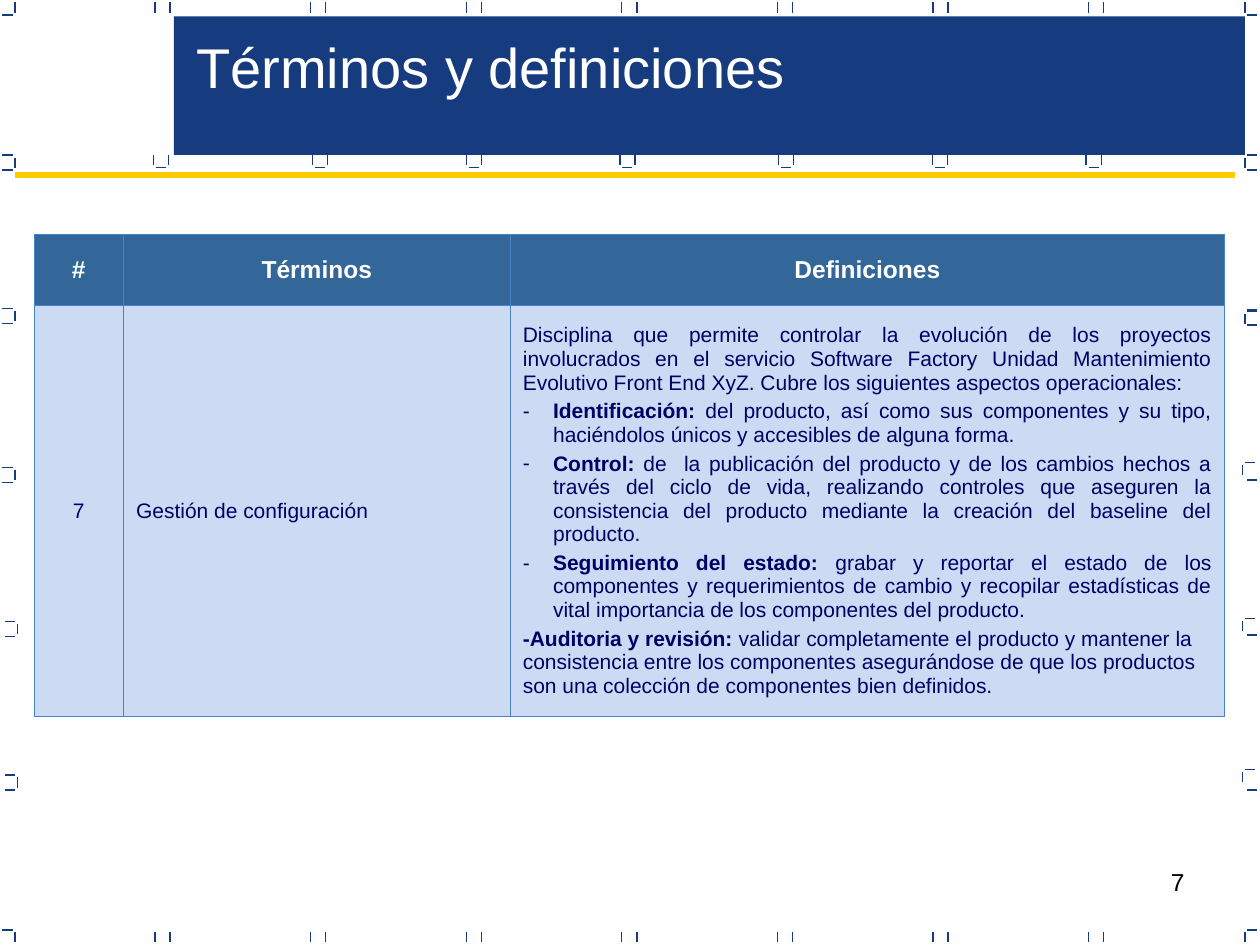
from dataclasses import dataclass
from typing import NamedTuple

from lxml.etree import SubElement
from pptx import Presentation
from pptx.dml.color import RGBColor
from pptx.enum.shapes import MSO_CONNECTOR, MSO_SHAPE
from pptx.enum.text import MSO_ANCHOR, PP_ALIGN
from pptx.oxml.ns import qn
from pptx.util import Inches, Pt


@dataclass(frozen=True)
class Theme:
    """Colours, font and type sizes of the deck."""
    font: str = "Arial"
    navy: str = "163B7F"
    gold: str = "FFCC00"
    header: str = "336699"
    body: str = "CDDAF3"
    ink: str = "000066"
    border: str = "4782C9"
    white: str = "FFFFFF"
    black: str = "000000"
    title_size: int = 32
    header_size: int = 14
    body_size: int = 12


class Point(NamedTuple):
    """A position in inches."""
    x: float
    y: float


class Entry(NamedTuple):
    """One paragraph of a table cell."""
    text: str
    lead: str = ""
    align: PP_ALIGN = PP_ALIGN.JUSTIFY
    bullet: bool = False


THEME = Theme()
TICK = 0.08
GAP = 0.02
SPAN = TICK + 2 * GAP
NEAR, FAR = 0.02, 7.4
LEFT, RIGHT = 0.12, 9.88
PAIR_START, PAIR_END, PAIR_COUNT = 1.23, 8.64, 7
PAIR_STEP = (PAIR_END - PAIR_START) / (PAIR_COUNT - 1)
CUP_TOP = 1.23
CUP_LEFTS = (1.22, 2.48, 3.7, 4.92, 6.18, 7.4, 8.62)
LEFT_BRACKETS = (Point(0.02, 1.23), Point(0.02, 2.45), Point(0.02, 3.71),
                 Point(0.04, 4.93), Point(0.04, 6.15))
RIGHT_BRACKETS = (Point(9.88, 1.23), Point(9.88, 2.47), Point(9.86, 3.67),
                  Point(9.86, 4.91), Point(9.86, 6.11))
RIGHT_DASHES = (1.35, 2.46, 2.58, 3.81, 5.04, 6.27)
COLUMN_WIDTHS = (0.71, 3.07, 5.67)
ROW_HEIGHTS = (0.56, 3.26)
HEADINGS = ("#", "Términos", "Definiciones")
ANSWERS = (
    [Entry("7", align=PP_ALIGN.CENTER)],
    [Entry("Gestión de configuración", align=PP_ALIGN.LEFT)],
    [
        Entry("Disciplina que permite controlar la evolución de los proyectos "
              "involucrados en el servicio Software Factory Unidad Mantenimiento "
              "Evolutivo Front End XyZ. Cubre los siguientes aspectos operacionales:"),
        Entry(" del producto, así como sus componentes y su tipo, haciéndolos "
              "únicos y accesibles de alguna forma.", "Identificación:", bullet=True),
        Entry(" de  la publicación del producto y de los cambios hechos a través "
              "del ciclo de vida, realizando controles que aseguren la consistencia "
              "del producto mediante la creación del baseline del producto.",
              "Control:", bullet=True),
        Entry(" grabar y reportar el estado de los componentes y requerimientos de "
              "cambio y recopilar estadísticas de vital importancia de los "
              "componentes del producto.", "Seguimiento del estado:", bullet=True),
        Entry(" validar completamente el producto y mantener la consistencia entre "
              "los componentes asegurándose de que los productos son una colección "
              "de componentes bien definidos.", "-Auditoria y revisión:", PP_ALIGN.LEFT),
    ],
)


def draw_line(page, start: Point, end: Point, color: str, width: float) -> None:
    """Draw a straight line without a shadow."""
    line = page.shapes.add_connector(
        MSO_CONNECTOR.STRAIGHT, Inches(start.x), Inches(start.y), Inches(end.x), Inches(end.y))
    line.line.color.rgb = RGBColor.from_string(color)
    line.line.width = Pt(width)
    SubElement(line.element.spPr, qn("a:effectLst"))


def draw_upright(page, x: float, top: float) -> None:
    """Draw a vertical frame tick."""
    draw_line(page, Point(x, top), Point(x, top + TICK), THEME.navy, 0.75)


def draw_dash(page, left: float, y: float) -> None:
    """Draw a horizontal frame tick."""
    draw_line(page, Point(left, y), Point(left + TICK, y), THEME.navy, 0.75)


def draw_frame(page) -> None:
    """Draw the ticks around the page and below the title band."""
    for top, dash_y in ((NEAR, NEAR + TICK + GAP), (FAR, FAR - GAP)):
        for x, dash_left in ((LEFT, LEFT - GAP - TICK), (RIGHT, RIGHT + GAP)):
            draw_upright(page, x, top)
            draw_dash(page, dash_left, dash_y)
        for index in range(PAIR_COUNT):
            x = PAIR_START + index * PAIR_STEP
            draw_upright(page, x, top)
            draw_upright(page, x + SPAN, top)
    for left in CUP_LEFTS:
        draw_upright(page, left, CUP_TOP)
        draw_upright(page, left + SPAN, CUP_TOP)
        draw_dash(page, left + GAP, CUP_TOP + TICK + GAP)
    for corner in LEFT_BRACKETS:
        draw_upright(page, corner.x + TICK + GAP, corner.y + GAP)
        draw_dash(page, corner.x, corner.y)
        draw_dash(page, corner.x, corner.y + SPAN)
    for corner in RIGHT_BRACKETS:
        draw_upright(page, corner.x, corner.y + GAP)
        draw_dash(page, corner.x + GAP, corner.y)
    for y in RIGHT_DASHES:
        draw_dash(page, RIGHT + GAP, y)


def style_span(span, size: int, color: str, bold: bool = False) -> None:
    """Set the font of one run."""
    span.font.name = THEME.font
    span.font.size = Pt(size)
    span.font.bold = bold
    span.font.color.rgb = RGBColor.from_string(color)


def add_label(page, text: str, corner: Point, width: float, height: float,
              size: int, color: str, align: PP_ALIGN) -> None:
    """Add a one-line text box."""
    box = page.shapes.add_textbox(
        Inches(corner.x), Inches(corner.y), Inches(width), Inches(height))
    box.text_frame.text = text
    box.text_frame.word_wrap = True
    para = box.text_frame.paragraphs[0]
    para.alignment = align
    style_span(para.runs[0], size, color)


def add_bullet(para) -> None:
    """Give a paragraph a dash bullet and a hanging indent."""
    properties = para._p.get_or_add_pPr()
    properties.set("marL", str(Inches(0.24)))
    properties.set("indent", str(-Inches(0.24)))
    color = SubElement(properties, qn("a:buClr"))
    SubElement(color, qn("a:srgbClr"), val=THEME.ink)
    SubElement(properties, qn("a:buFont"), typeface=THEME.font)
    SubElement(properties, qn("a:buChar"), char="-")


def fill_cell(cell, entries: list[Entry], size: int, color: str, fill: str,
              bold: bool = False) -> None:
    """Write a table cell and set its borders and fill."""
    cell.vertical_anchor = MSO_ANCHOR.MIDDLE
    for side in ("lnL", "lnR", "lnT", "lnB"):
        edge = SubElement(cell._tc.get_or_add_tcPr(), qn(f"a:{side}"), w=str(Pt(0.45)))
        SubElement(SubElement(edge, qn("a:solidFill")), qn("a:srgbClr"), val=THEME.border)
    cell.fill.solid()
    cell.fill.fore_color.rgb = RGBColor.from_string(fill)
    for index, entry in enumerate(entries):
        para = cell.text_frame.add_paragraph() if index else cell.text_frame.paragraphs[0]
        para.alignment = entry.align
        if index:
            para.space_before = Pt(3)
        if entry.bullet:
            add_bullet(para)
        for text, heavy in ((entry.lead, True), (entry.text, bold)):
            if text:
                span = para.add_run()
                span.text = text
                style_span(span, size, color, heavy)


def add_definitions(page) -> None:
    """Add the table of terms and definitions."""
    table = page.shapes.add_table(
        2, 3, Inches(0.27), Inches(1.86),
        Inches(sum(COLUMN_WIDTHS)), Inches(sum(ROW_HEIGHTS))).table
    for row, height in zip(table.rows, ROW_HEIGHTS):
        row.height = Inches(height)
    for index, width in enumerate(COLUMN_WIDTHS):
        table.columns[index].width = Inches(width)
        heading = [Entry(HEADINGS[index], align=PP_ALIGN.CENTER)]
        fill_cell(table.cell(0, index), heading, THEME.header_size, THEME.white,
                  THEME.header, True)
        fill_cell(table.cell(1, index), ANSWERS[index], THEME.body_size, THEME.ink, THEME.body)


def main() -> None:
    """Build the deck and save it."""
    deck = Presentation()
    deck.slide_width, deck.slide_height = Inches(10), Inches(7.5)
    page = deck.slides.add_slide(deck.slide_layouts[6])
    add_label(page, "7", Point(7.17, 6.83), 2.33, 0.52, THEME.header_size,
              THEME.black, PP_ALIGN.RIGHT)
    band = page.shapes.add_shape(
        MSO_SHAPE.RECTANGLE, Inches(1.38), Inches(0.13), Inches(8.5), Inches(1.1))
    band.shadow.inherit = False
    band.fill.solid()
    band.fill.fore_color.rgb = RGBColor.from_string(THEME.navy)
    band.line.fill.background()
    draw_frame(page)
    add_label(page, "Términos y definiciones", Point(1.46, 0.21), 5.2, 0.64,
              THEME.title_size, THEME.white, PP_ALIGN.LEFT)
    draw_line(page, Point(0.12, 1.39), Point(9.8, 1.39), THEME.gold, 3)
    add_definitions(page)
    deck.save("out.pptx")


if __name__ == "__main__":
    main()
